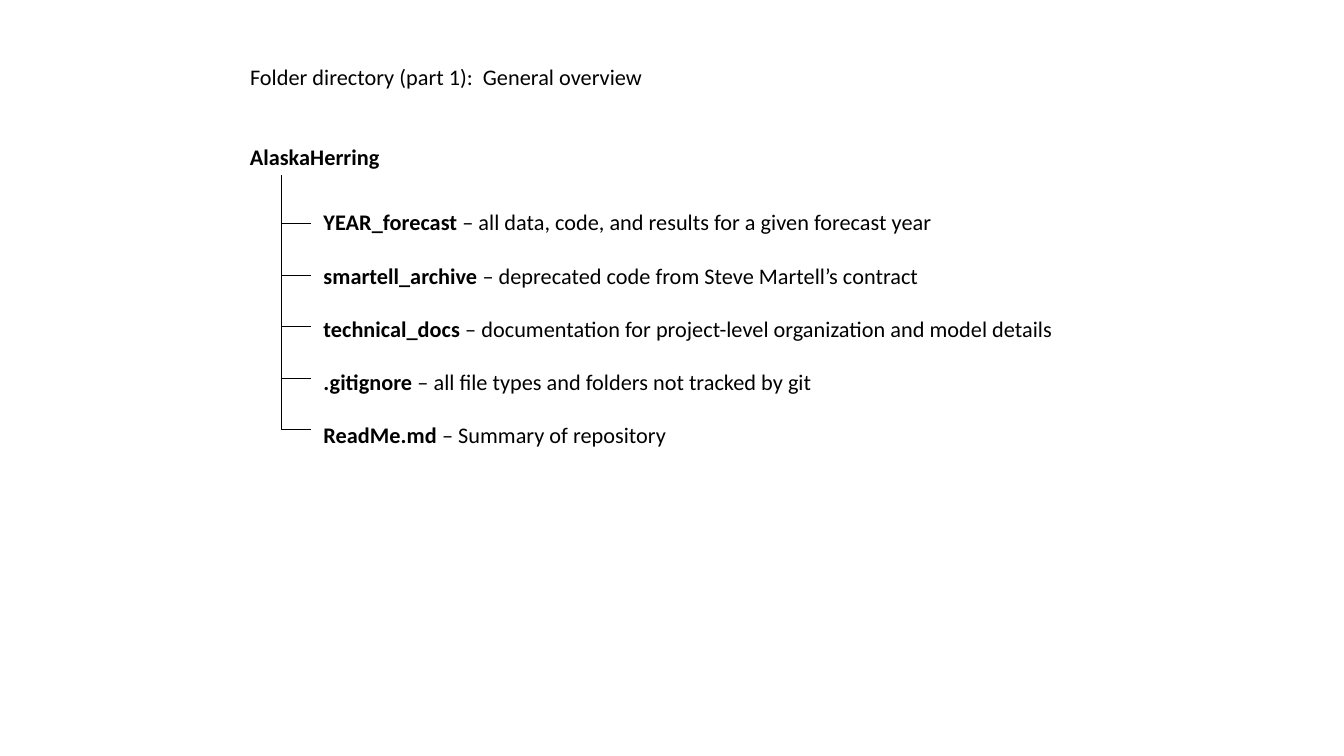
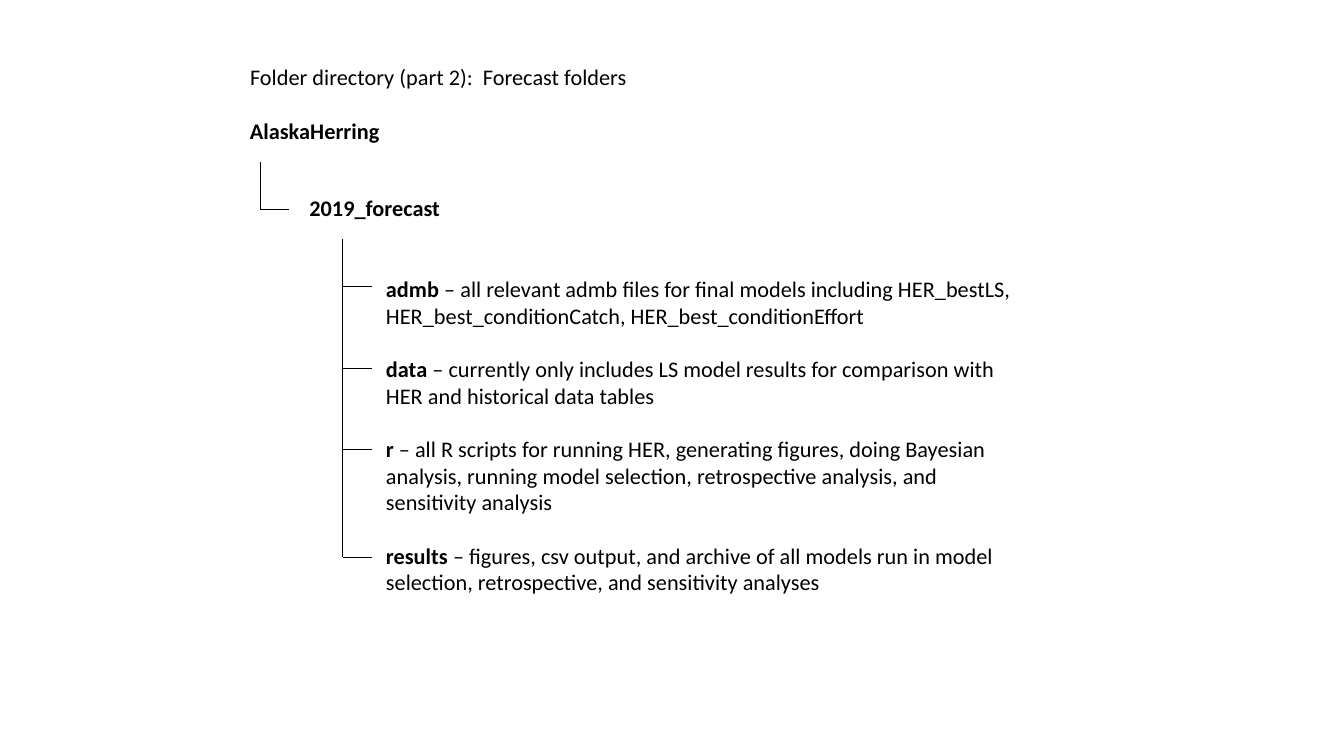
from dataclasses import dataclass

from lxml.etree import SubElement
from pptx import Presentation
from pptx.dml.color import RGBColor
from pptx.enum.text import MSO_ANCHOR, MSO_AUTO_SIZE, PP_ALIGN
from pptx.oxml.ns import qn
from pptx.util import Inches, Pt

FONT = "Calibri"
SIZE = 15.9
INK = "000000"
PAPER = "FFFFFF"
GAP = 19  # points between entries, about one line
LEFT = 2.38
TICK = 0.29


@dataclass
class Entry:
    name: str
    note: str = ""


@dataclass
class Branch:
    x: float
    top: float
    ticks: list[float]


@dataclass
class Block:
    left: float
    top: float
    width: float
    height: float
    items: list[Entry]


@dataclass
class Page:
    title: str
    blocks: list[Block]
    trees: list[Branch]


def color(code: str) -> RGBColor:
    return RGBColor.from_string(code)


def style(run, bold: bool = False) -> None:
    run.font.name = FONT
    run.font.size = Pt(SIZE)
    run.font.bold = bold
    run.font.color.rgb = color(INK)


def add_title(slide, text: str) -> None:
    title = slide.shapes.title
    title.left, title.top = Inches(LEFT), Inches(0.58)
    title.width, title.height = Inches(4.12), Inches(0.37)
    frame = title.text_frame
    frame.text = text
    frame.word_wrap = False
    frame.auto_size = MSO_AUTO_SIZE.NONE
    frame.vertical_anchor = MSO_ANCHOR.TOP
    frame.paragraphs[0].alignment = PP_ALIGN.LEFT
    style(frame.paragraphs[0].runs[0])


def add_block(slide, block: Block) -> None:
    box = slide.shapes.add_textbox(
        Inches(block.left), Inches(block.top),
        Inches(block.width), Inches(block.height))
    frame = box.text_frame
    frame.word_wrap = True
    for i, item in enumerate(block.items):
        para = frame.add_paragraph() if i else frame.paragraphs[0]
        para.space_before = Pt(GAP if i else 0)
        para.text = f"{item.name} " if item.note else item.name
        style(para.runs[0], bold=True)
        if item.note:
            run = para.add_run()
            run.text = f"– {item.note}"
            style(run)


def add_line(shapes, x1: float, y1: float, x2: float, y2: float) -> None:
    line = shapes.add_connector(
        1, Inches(x1), Inches(y1), Inches(x2), Inches(y2))
    line.line.color.rgb = color(INK)
    line.line.width = Pt(0.5)
    SubElement(line._element.spPr, qn("a:effectLst"))


def add_tree(slide, tree: Branch) -> None:
    shapes = slide.shapes.add_group_shape().shapes
    # Trunk, then one tick per entry
    add_line(shapes, tree.x, tree.top, tree.x, tree.ticks[-1])
    for y in tree.ticks:
        add_line(shapes, tree.x, y, tree.x + TICK, y)


PAGES = [
    Page(
        "Folder directory (part 1):  General overview",
        [
            Block(LEFT, 1.37, 1.6, 0.37, [Entry("AlaskaHerring")]),
            Block(3.11, 2.02, 7.51, 2.5, [
                Entry("YEAR_forecast",
                      "all data, code, and results for a given forecast year"),
                Entry("smartell_archive",
                      "deprecated code from Steve Martell’s contract"),
                Entry("technical_docs",
                      "documentation for project-level organization "
                      "and model details"),
                Entry(".gitignore",
                      "all file types and folders not tracked by git"),
                Entry("ReadMe.md", "Summary of repository"),
            ]),
        ],
        [Branch(2.79, 1.74, [2.22 + 0.51 * i for i in range(5)])],
    ),
    Page(
        "Folder directory (part 2):  Forecast folders",
        [
            Block(LEFT, 1.11, 1.6, 0.37, [Entry("AlaskaHerring")]),
            Block(2.97, 1.88, 1.6, 0.37, [Entry("2019_forecast")]),
            Block(3.73, 2.68, 6.5, 3.84, [
                Entry("admb",
                      "all relevant admb files for final models including "
                      "HER_bestLS, HER_best_conditionCatch, "
                      "HER_best_conditionEffort"),
                Entry("data",
                      "currently only includes LS model results for "
                      "comparison with HER and historical data tables"),
                Entry("r",
                      "all R scripts for running HER, generating figures, "
                      "doing Bayesian analysis, running model selection, "
                      "retrospective analysis, and sensitivity analysis"),
                Entry("results",
                      "figures, csv output, and archive of all models run in "
                      "model selection, retrospective, and sensitivity "
                      "analyses"),
            ]),
        ],
        [
            Branch(3.4, 2.37, [2.84, 3.65, 4.46, 5.53]),
            Branch(2.58, 1.61, [2.08]),
        ],
    ),
]


def main() -> None:
    deck = Presentation()
    deck.slide_width, deck.slide_height = Inches(13.33), Inches(7.5)
    fill = deck.slide_master.background.fill
    fill.solid()
    fill.fore_color.rgb = color(PAPER)
    for page in PAGES:
        slide = deck.slides.add_slide(deck.slide_layouts[5])
        add_title(slide, page.title)
        for block in page.blocks:
            add_block(slide, block)
        for tree in page.trees:
            add_tree(slide, tree)
    deck.save("out.pptx")


if __name__ == "__main__":
    main()
